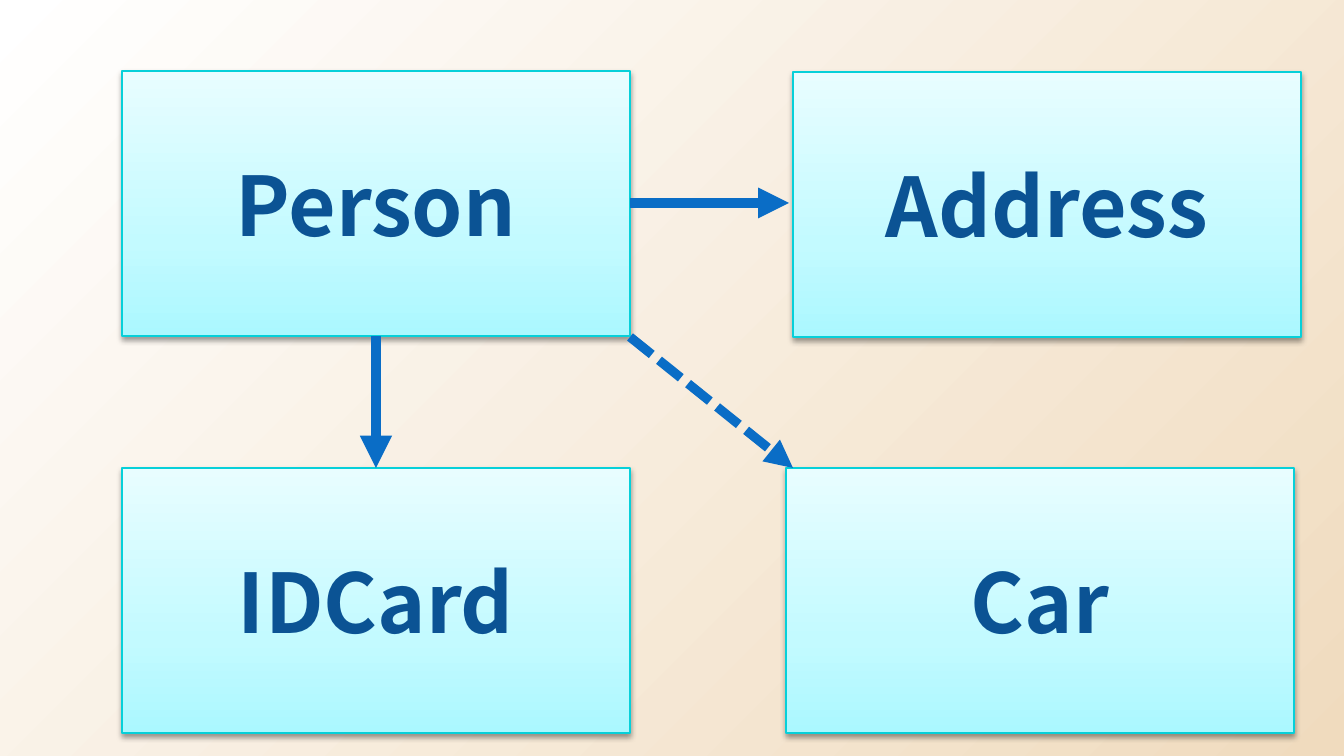
from typing import NamedTuple, Optional

from lxml.etree import SubElement
from pptx import Presentation
from pptx.dml.color import RGBColor
from pptx.enum.dml import MSO_LINE
from pptx.enum.shapes import MSO_CONNECTOR as Conn, MSO_SHAPE as Shp
from pptx.enum.text import MSO_ANCHOR as Anchor, PP_ALIGN as Align
from pptx.oxml.ns import qn
from pptx.util import Inches, Pt

PX = Inches(10) / 1344
BOX_W, BOX_H = 508, 265

WHITE = RGBColor(0xFF, 0xFF, 0xFF)
SAND = RGBColor(0xF0, 0xDB, 0xBE)
CYAN = RGBColor(0xAB, 0xF8, 0xFF)
CYAN_MID = RGBColor(0xC3, 0xFA, 0xFF)
CYAN_PALE = RGBColor(0xE8, 0xFD, 0xFF)
CYAN_EDGE = RGBColor(0x06, 0xD0, 0xD9)
BLUE = RGBColor(0x0A, 0x6D, 0xC6)
NAVY = RGBColor(0x0B, 0x53, 0x94)
BLACK = RGBColor(0, 0, 0)

SAND_STOPS = [(0, SAND), (100, WHITE)]
CYAN_STOPS = [(0, CYAN), (35, CYAN_MID), (100, CYAN_PALE)]
FONT = {"name": "Noto Sans CJK SC", "size": Pt(44), "bold": True}


class Box(NamedTuple):
    text: str
    x: int
    y: int


class Arrow(NamedTuple):
    x1: int
    y1: int
    x2: int
    y2: int
    width: float
    dash: Optional[MSO_LINE] = None


BOXES = [
    Box("Person", 122, 71),
    Box("Address", 793, 72),
    Box("IDCard", 122, 468),
    Box("Car", 786, 468),
]
ARROWS = [
    Arrow(630, 203, 789, 203, 5.5),
    Arrow(376, 336, 376, 468, 5.75),
    Arrow(630, 337, 793, 468, 5, MSO_LINE.SQUARE_DOT),
]


def px(n: int) -> int:
    return round(n * PX)


def add(parent, tag: str, **attrs):
    """Append a DrawingML child element."""
    return SubElement(parent, qn(f"a:{tag}"), {k: str(v) for k, v in attrs.items()})


def set_gradient(fill, owner, stops):
    """Give the fill its colour stops and return the gradient element."""
    fill.gradient()
    grad = next(owner.iter(qn("a:gradFill")))
    for child in list(grad):
        grad.remove(child)
    gs_lst = add(grad, "gsLst")
    for pos, color in stops:
        add(add(gs_lst, "gs", pos=pos * 1000), "srgbClr", val=color)
    return grad


def draw_background(s) -> None:
    grad = set_gradient(s.background.fill, s.element, SAND_STOPS)
    add(add(grad, "path", path="circle"), "fillToRect", l=100000, t=100000)


def add_shadow(sp) -> None:
    sp.shadow.inherit = False
    effects = sp.element.spPr.find(qn("a:effectLst"))
    shadow = add(effects, "outerShdw", blurRad=Pt(3.1), dist=Pt(1.6),
                 dir=90 * 60000, rotWithShape=0)
    add(add(shadow, "srgbClr", val=BLACK), "alpha", val=38000)


def draw_box(s, box: Box) -> None:
    sp = s.shapes.add_shape(Shp.RECTANGLE, px(box.x), px(box.y), px(BOX_W), px(BOX_H))
    grad = set_gradient(sp.fill, sp.element, CYAN_STOPS)
    add(grad, "lin", ang=270 * 60000, scaled=0)
    sp.line.color.rgb = CYAN_EDGE
    sp.line.width = Pt(0.75)
    add_shadow(sp)

    # Class name
    tf = sp.text_frame
    tf.vertical_anchor = Anchor.MIDDLE
    p = tf.paragraphs[0]
    p.alignment = Align.CENTER
    r = p.add_run()
    r.text = box.text
    for key, value in FONT.items():
        setattr(r.font, key, value)
    r.font.color.rgb = NAVY


def draw_arrow(s, a: Arrow) -> None:
    c = s.shapes.add_connector(Conn.STRAIGHT, px(a.x1), px(a.y1), px(a.x2), px(a.y2))
    c.line.color.rgb = BLUE
    c.line.width = Pt(a.width)
    if a.dash is not None:
        c.line.dash_style = a.dash
    spPr = c.element.spPr
    add(spPr.find(qn("a:ln")), "tailEnd", type="triangle")
    add(spPr, "effectLst")


def main() -> None:
    prs = Presentation()
    prs.slide_width, prs.slide_height = px(1344), px(756)
    s = prs.slides.add_slide(prs.slide_layouts[6])
    draw_background(s)

    # Classes and the relations between them
    for box in BOXES:
        draw_box(s, box)
    for arrow in ARROWS:
        draw_arrow(s, arrow)
    prs.save("out.pptx")


if __name__ == "__main__":
    main()
